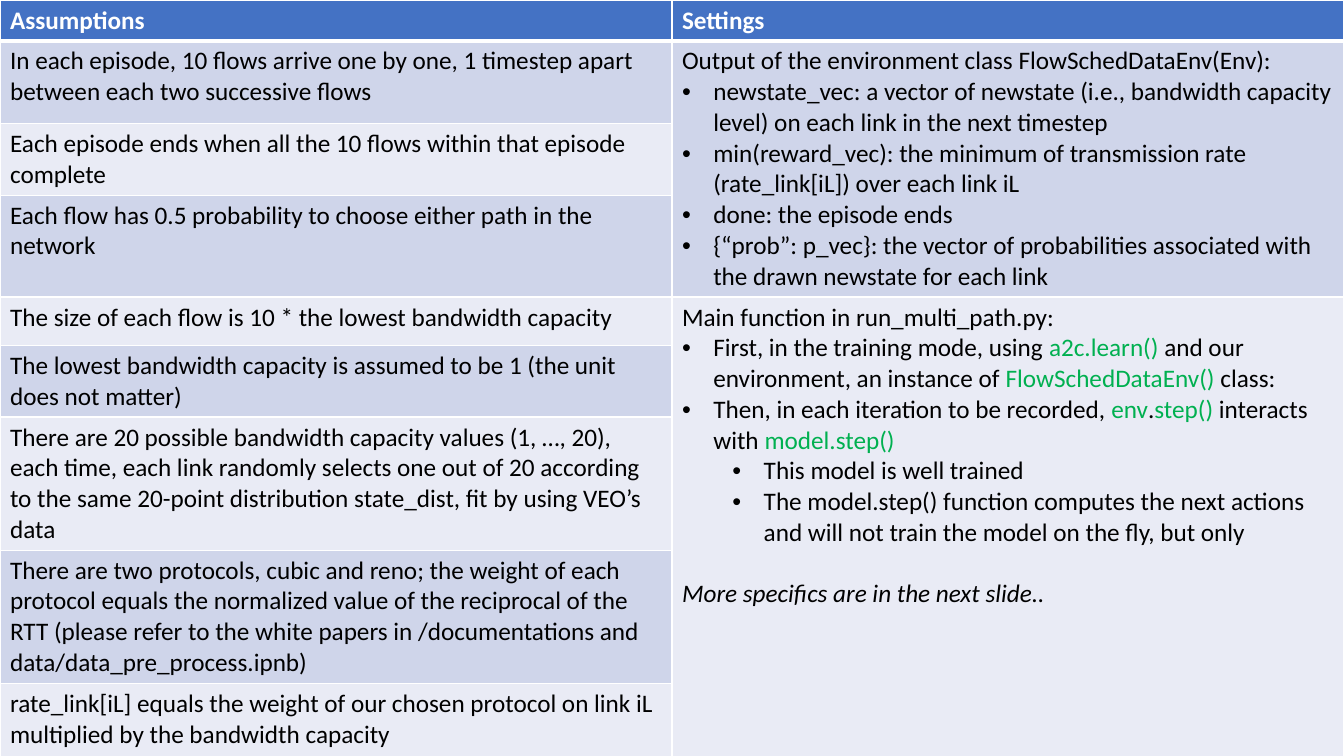
from dataclasses import dataclass

import lxml.etree
import pptx
import pptx.dml.color
import pptx.oxml.ns
import pptx.table
import pptx.util

RGB = pptx.dml.color.RGBColor
WHITE = RGB(0xFF, 0xFF, 0xFF)
BLACK = RGB(0x00, 0x00, 0x00)
GREEN = RGB(0x00, 0xB0, 0x50)
HEADER = RGB(0x44, 0x72, 0xC4)
BANDS = (RGB(0xE9, 0xEB, 0xF5), RGB(0xCF, 0xD5, 0xEA))

WIDTH, HEIGHT = pptx.util.Inches(13.33), pptx.util.Inches(7.5)
UNIT = HEIGHT / 750  # row heights are counted in this unit
ROWS = (40, 82, 69, 95, 48, 69, 128, 128, 80)
HANG = pptx.util.Inches(0.31)
LEVEL_STEP = pptx.util.Inches(0.5)
LINE = pptx.util.Pt(21.9)


@dataclass(frozen=True)
class Para:
    """A paragraph; every second text of it is green code."""
    texts: tuple[str, ...]
    level: int | None = None  # bullet level, None for plain text
    italic: bool = False
    before: int = 0


@dataclass(frozen=True)
class Block:
    """A settings cell that spans several assumption rows."""
    row: int
    span: int
    paras: tuple[Para, ...]


ASSUMPTIONS = (
    "In each episode, 10 flows arrive one by one, 1 timestep apart between "
    "each two successive flows",
    "Each episode ends when all the 10 flows within that episode complete",
    "Each flow has 0.5 probability to choose either path in the network",
    "The size of each flow is 10 * the lowest bandwidth capacity",
    "The lowest bandwidth capacity is assumed to be 1 (the unit does not matter)",
    "There are 20 possible bandwidth capacity values (1, …, 20), each time, "
    "each link randomly selects one out of 20 according to the same 20-point "
    "distribution state_dist, fit by using VEO’s data",
    "There are two protocols, cubic and reno; the weight of each protocol "
    "equals the normalized value of the reciprocal of the RTT (please refer "
    "to the white papers in /documentations and data/data_pre_process.ipnb)",
    "rate_link[iL] equals the weight of our chosen protocol on link iL "
    "multiplied by the bandwidth capacity",
)

SETTINGS = (
    Block(1, 3, (
        Para(("Output of the environment class FlowSchedDataEnv(Env):",)),
        Para(("newstate_vec: a vector of newstate (i.e., bandwidth capacity "
              "level) on each link in the next timestep",), 0),
        Para(("min(reward_vec): the minimum of transmission rate "
              "(rate_link[iL]) over each link iL",), 0),
        Para(("done: the episode ends",), 0),
        Para(("{“prob”: p_vec}: the vector of probabilities associated with "
              "the drawn newstate for each link",), 0),
    )),
    Block(4, 5, (
        Para(("Main function in run_multi_path.py:",)),
        Para(("First, in the training mode, using ", "a2c.learn() ",
              "and our environment, an instance of ", "FlowSchedDataEnv()",
              " class:"), 0),
        Para(("Then, in each iteration to be recorded, ", "env", ".",
              "step() ", "interacts with ", "model.step()"), 0),
        Para(("This model is well trained",), 1),
        Para(("The model.step() function computes the next actions and will "
              "not train the model on the fly, but only",), 1),
        Para(("More specifics are in the next slide..",), italic=True, before=LINE),
    )),
)


def set_borders(cell: pptx.table._Cell, bottom: float) -> None:
    """Give the cell white borders, with its own bottom width in points."""
    tc_pr = cell._tc.get_or_add_tcPr()
    widths = {"lnL": 1, "lnR": 1, "lnT": 1, "lnB": bottom}
    for i, (tag, width) in enumerate(widths.items()):
        ln = lxml.etree.Element(pptx.oxml.ns.qn(f"a:{tag}"),
                                w=str(pptx.util.Pt(width)))
        fill = lxml.etree.SubElement(ln, pptx.oxml.ns.qn("a:solidFill"))
        lxml.etree.SubElement(fill, pptx.oxml.ns.qn("a:srgbClr"), val=str(WHITE))
        tc_pr.insert(i, ln)


def set_bullet(p, level: int) -> None:
    """Hang the paragraph on a bullet at the given level."""
    p.level = level
    p_pr = p._p.get_or_add_pPr()
    p_pr.set("marL", str(HANG + level * LEVEL_STEP))
    p_pr.set("indent", str(-HANG))
    lxml.etree.SubElement(p_pr, pptx.oxml.ns.qn("a:buFont"), typeface="Arial")
    lxml.etree.SubElement(p_pr, pptx.oxml.ns.qn("a:buChar"), char="•")


def write(cell: pptx.table._Cell, paras: tuple[Para, ...],
          color: RGB = BLACK, bold: bool = False) -> None:
    """Write formatted paragraphs into the cell."""
    tf = cell.text_frame
    for i, para in enumerate(paras):
        p = tf.add_paragraph() if i else tf.paragraphs[0]
        if para.before:
            p.space_before = para.before
        if para.level is not None:
            set_bullet(p, para.level)
        font = {"name": "Calibri", "size": pptx.util.Pt(18),
                "bold": bold, "italic": para.italic}
        for j, text in enumerate(para.texts):
            r = p.add_run()
            r.text = text
            for key, value in font.items():
                setattr(r.font, key, value)
            r.font.color.rgb = GREEN if j % 2 else color


def add_grid(slide) -> pptx.table.Table:
    """Add the two-column table with its fills and borders."""
    table = slide.shapes.add_table(len(ROWS), 2, 0, 0, WIDTH,
                                   round(sum(ROWS) * UNIT)).table
    table.horz_banding = table.first_row = False
    for col in table.columns:
        col.width = WIDTH // 2
    for i, units in enumerate(ROWS):
        table.rows[i].height = round(units * UNIT)
        for cell in table.rows[i].cells:
            set_borders(cell, 1 if i else 3)
            cell.fill.solid()
            cell.fill.fore_color.rgb = BANDS[i % 2] if i else HEADER
    return table


prs = pptx.Presentation()
prs.slide_width, prs.slide_height = WIDTH, HEIGHT
grid = add_grid(prs.slides.add_slide(prs.slide_layouts[6]))
for column, heading in enumerate(("Assumptions", "Settings")):
    write(grid.cell(0, column), (Para((heading,)),), WHITE, bold=True)
for row, assumption in enumerate(ASSUMPTIONS, 1):
    write(grid.cell(row, 0), (Para((assumption,)),))
for block in SETTINGS:
    top = grid.cell(block.row, 1)
    top.merge(grid.cell(block.row + block.span - 1, 1))
    write(top, block.paras)
prs.save("out.pptx")
